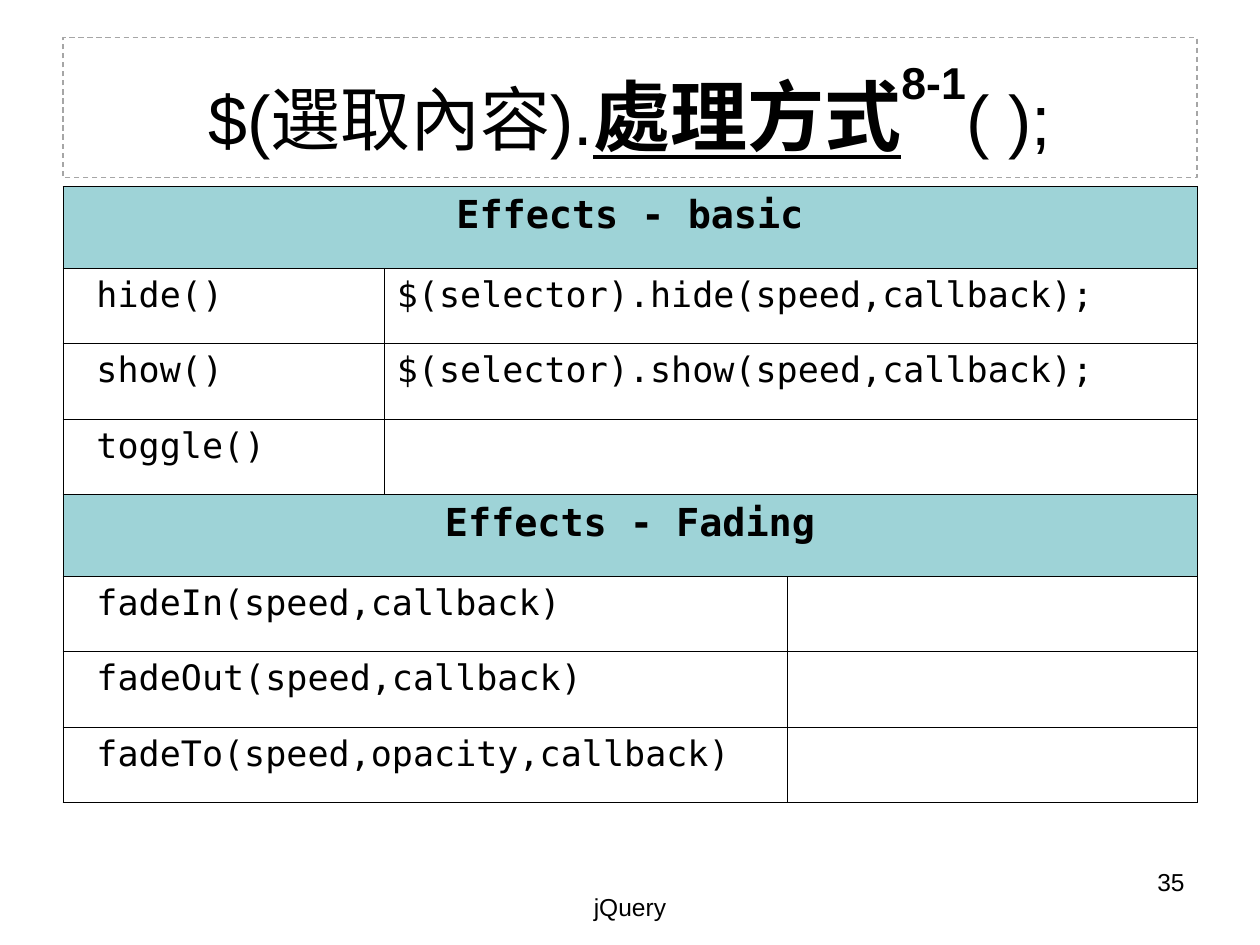
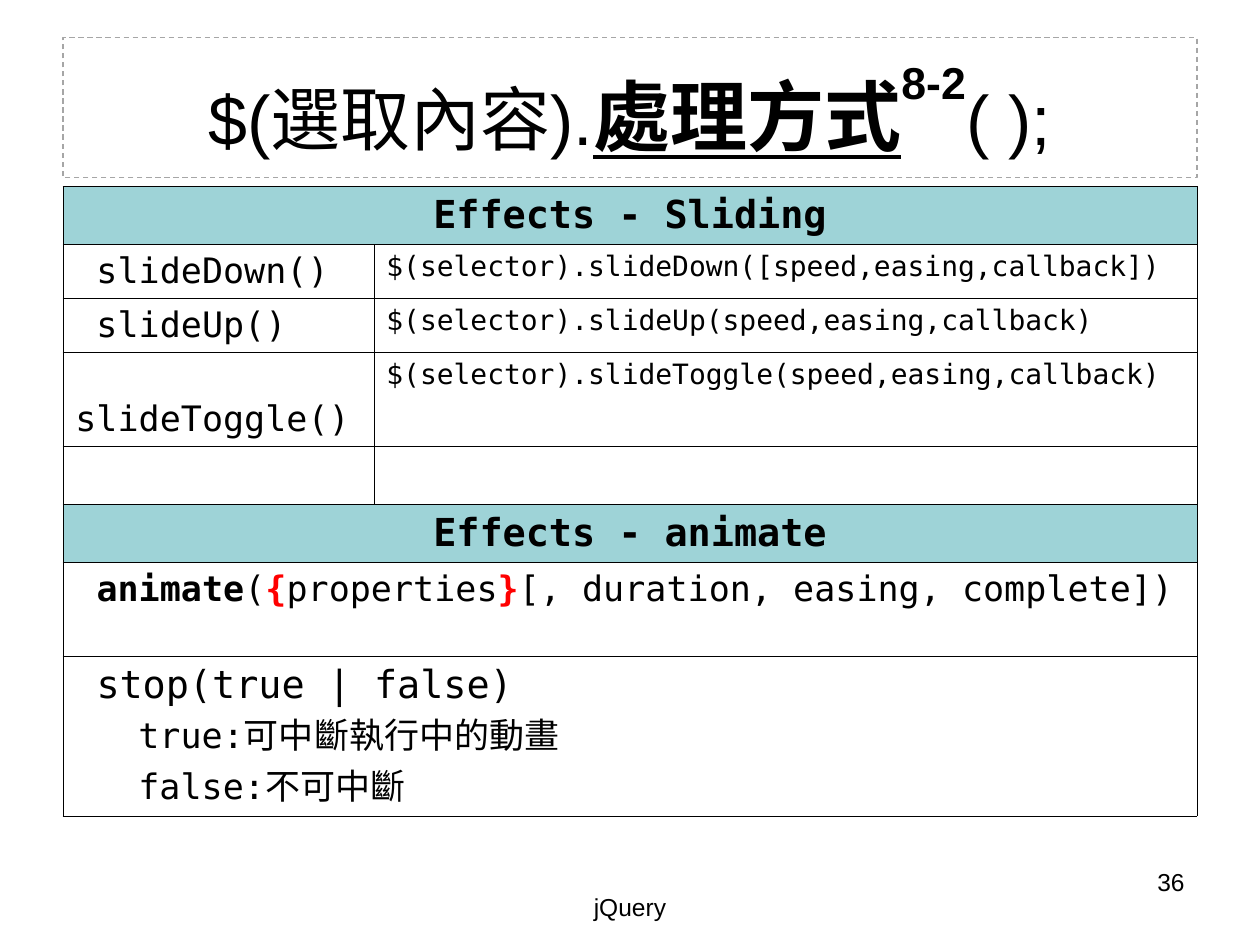
from dataclasses import dataclass
from lxml.etree import SubElement
from pptx import Presentation
from pptx.dml.color import RGBColor
from pptx.enum.dml import MSO_LINE
from pptx.enum.text import MSO_ANCHOR, MSO_AUTO_SIZE, PP_ALIGN
from pptx.oxml.ns import qn
from pptx.util import Cm, Pt


@dataclass(frozen=True)
class Theme:
    ink: RGBColor = RGBColor(0x00, 0x00, 0x00)
    brace: RGBColor = RGBColor(0xFF, 0x00, 0x00)
    band: RGBColor = RGBColor(0x9E, 0xD3, 0xD7)
    outline: RGBColor = RGBColor(0xA6, 0xA6, 0xA6)
    sans: str = "Arial"
    mono: str = "DejaVu Sans Mono"
    title: int = 40
    keyword: int = 44
    heading: int = 22
    code: int = 20
    syntax: int = 16
    footer: int = 14
    rule: float = 0.45
    frame: float = 0.75


@dataclass(frozen=True)
class Box:
    left: float
    top: float
    width: float
    height: float

    def lengths(self):
        return Cm(self.left), Cm(self.top), Cm(self.width), Cm(self.height)


@dataclass(frozen=True)
class Piece:
    text: str
    size: int
    bold: bool = False
    color: RGBColor = Theme.ink


@dataclass(frozen=True)
class Line:
    pieces: tuple
    indent: float = 0


@dataclass(frozen=True)
class Entry:
    lines: tuple = ()
    span: int = 1
    is_heading: bool = False


THEME = Theme()
PAGE_WIDTH, PAGE_HEIGHT = 25.4, 19.05
MARGIN = 1.27
CONTENT_WIDTH = PAGE_WIDTH - 2 * MARGIN
TITLE_BOX = Box(MARGIN, 0.76, CONTENT_WIDTH, 2.82)
TABLE_BOX = Box(MARGIN, 3.76, CONTENT_WIDTH, 12)
NUMBER_BOX = Box(PAGE_WIDTH - MARGIN - 5.92, 17.35, 5.92, 1.32)
TOPIC_BOX = Box((PAGE_WIDTH - 8.05) / 2, 17.86, 8.05, 1.27)


def heading(text, span):
    return [Entry((Line((Piece(text, THEME.heading, True),)),), span, True)]


def code(text, span=1, size=THEME.code):
    return Entry((Line((Piece(text, size),)),), span)


def syntax(text):
    return code(text, size=THEME.syntax)


def explanation(text):
    return Line((Piece(text, THEME.code),), indent=1.27)


BLANK = Entry()

ANIMATE = Entry((Line((
    Piece(" ", THEME.code),
    Piece("animate", THEME.code, True),
    Piece("(", THEME.code),
    Piece("{", THEME.code, True, THEME.brace),
    Piece("properties", THEME.code),
    Piece("}", THEME.code, True, THEME.brace),
    Piece("[, duration, easing, complete])", THEME.code),
)),), 2)

STOP = Entry((
    Line((Piece(" ", THEME.code), Piece("stop(true | false)", THEME.heading))),
    explanation("true:可中斷執行中的動畫"),
    explanation("false:不可中斷"),
), 2)

BASIC_AND_FADING = [
    (1.65, heading("Effects - basic", 3)),
    (1.52, [code(" hide()"), code("$(selector).hide(speed,callback);", 2)]),
    (1.52, [code(" show()"), code("$(selector).show(speed,callback);", 2)]),
    (1.52, [code(" toggle()"), Entry(span=2)]),
    (1.65, heading("Effects - Fading", 3)),
    (1.52, [code(" fadeIn(speed,callback)", 2), BLANK]),
    (1.52, [code(" fadeOut(speed,callback)", 2), BLANK]),
    (1.52, [code(" fadeTo(speed,opacity,callback)", 2), BLANK]),
]

SLIDING_AND_ANIMATE = [
    (1.17, heading("Effects - Sliding", 2)),
    (1.07, [code(" slideDown()"),
            syntax("$(selector).slideDown([speed,easing,callback])")]),
    (1.07, [code(" slideUp()"),
            syntax("$(selector).slideUp(speed,easing,callback)")]),
    (1.9, [code(" slideToggle()"),
           syntax("$(selector).slideToggle(speed,easing,callback)")]),
    (1.17, [BLANK, BLANK]),
    (1.17, heading("Effects - animate", 2)),
    (1.9, [ANIMATE]),
    (3.2, [STOP]),
]


def add_run(paragraph, piece, font_name):
    run = paragraph.add_run()
    run.text = piece.text
    run.font.name = font_name
    run.font.size = Pt(piece.size)
    run.font.bold = piece.bold
    run.font.color.rgb = piece.color
    return run


def place_title(slide, box, part):
    title = slide.shapes.title
    title.left, title.top, title.width, title.height = box.lengths()
    title.line.color.rgb = THEME.outline
    title.line.width = Pt(THEME.frame)
    title.line.dash_style = MSO_LINE.DASH
    frame = title.text_frame
    frame.word_wrap = True
    frame.auto_size = MSO_AUTO_SIZE.NONE
    frame.vertical_anchor = MSO_ANCHOR.MIDDLE
    sentence = frame.paragraphs[0]
    sentence.alignment = PP_ALIGN.CENTER
    add_run(sentence, Piece("$(選取內容).", THEME.title), THEME.sans)
    keyword = add_run(sentence, Piece("處理方式", THEME.keyword, True), THEME.sans)
    keyword.font.underline = True
    counter = add_run(sentence, Piece(part, THEME.keyword, True), THEME.sans)
    counter.font._element.set("baseline", "60000")
    add_run(sentence, Piece("( );", THEME.title), THEME.sans)


def draw_borders(cell):
    properties = cell._tc.get_or_add_tcPr()
    for side in ("lnL", "lnR", "lnT", "lnB"):
        border = SubElement(properties, qn(f"a:{side}"), w=str(Pt(THEME.rule)))
        fill = SubElement(border, qn("a:solidFill"))
        SubElement(fill, qn("a:srgbClr"), val=str(THEME.ink))


def write_entry(cell, entry):
    if entry.is_heading:
        cell.fill.solid()
        cell.fill.fore_color.rgb = THEME.band
    for index, line in enumerate(entry.lines):
        frame = cell.text_frame
        paragraph = frame.add_paragraph() if index else frame.paragraphs[0]
        paragraph.alignment = PP_ALIGN.CENTER if entry.is_heading else PP_ALIGN.LEFT
        if line.indent:
            paragraph._p.get_or_add_pPr().set("marL", str(Cm(line.indent)))
        for piece in line.pieces:
            add_run(paragraph, piece, THEME.mono)


def place_effects(slide, box, column_widths, rows):
    effects = slide.shapes.add_table(
        len(rows), len(column_widths), *box.lengths()).table
    effects.first_row = False
    effects.horz_banding = False
    for column, width in zip(effects.columns, column_widths):
        column.width = Cm(width)
    for cell in effects.iter_cells():
        draw_borders(cell)
        cell.fill.background()
        cell.margin_left = cell.margin_right = Cm(0.25)
        cell.margin_top = cell.margin_bottom = Cm(0.13)
    for row_index, (height, entries) in enumerate(rows):
        effects.rows[row_index].height = Cm(height)
        column_index = 0
        for entry in entries:
            cell = effects.cell(row_index, column_index)
            column_index += entry.span
            if entry.span > 1:
                cell.merge(effects.cell(row_index, column_index - 1))
            write_entry(cell, entry)


def place_footer(slide, box, text, alignment):
    frame = slide.shapes.add_textbox(*box.lengths()).text_frame
    frame.word_wrap = True
    paragraph = frame.paragraphs[0]
    paragraph.alignment = alignment
    add_run(paragraph, Piece(text, THEME.footer), THEME.sans)


def add_effects_slide(presentation, part, number, column_widths, rows):
    slide = presentation.slides.add_slide(presentation.slide_layouts[5])
    place_effects(slide, TABLE_BOX, column_widths, rows)
    place_title(slide, TITLE_BOX, part)
    place_footer(slide, NUMBER_BOX, number, PP_ALIGN.RIGHT)
    place_footer(slide, TOPIC_BOX, "jQuery", PP_ALIGN.CENTER)


def main():
    presentation = Presentation()
    presentation.slide_width = Cm(PAGE_WIDTH)
    presentation.slide_height = Cm(PAGE_HEIGHT)
    add_effects_slide(presentation, "8-1", "35", (6.48, 8.13, 8.25), BASIC_AND_FADING)
    add_effects_slide(presentation, "8-2", "36", (6.27, 16.59), SLIDING_AND_ANIMATE)
    presentation.save("out.pptx")


if __name__ == "__main__":
    main()
